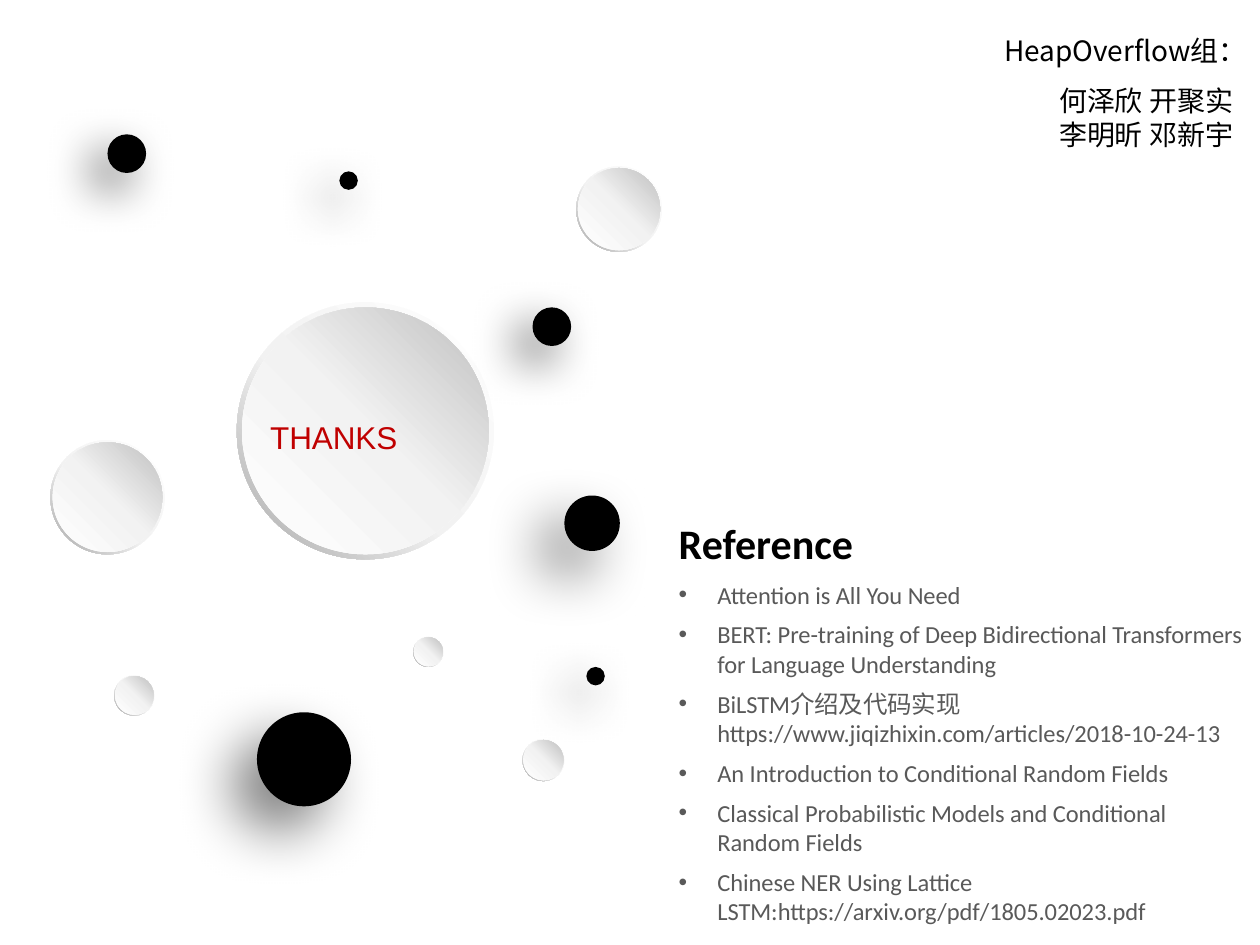
from pptx import Presentation
from pptx import util as u
from pptx.dml.color import RGBColor
from pptx.enum import shapes, text
from pptx.oxml import parse_xml
from pptx.oxml.ns import nsdecls, qn

BLACK = RGBColor(0x00, 0x00, 0x00)
WHITE = RGBColor(0xFF, 0xFF, 0xFF)
PALE = RGBColor(0xF2, 0xF2, 0xF2)
SILVER = RGBColor(0xBF, 0xBF, 0xBF)
STEEL = RGBColor(0xA6, 0xA6, 0xA6)
GREY = RGBColor(0x59, 0x59, 0x59)
RED = RGBColor(0xC0, 0x00, 0x00)
CJK = "Noto Sans CJK SC"
PAGE_WIDTH = 7.5

# left, top, diameter of each rimmed ball
BALLS = [
    (1.41, 1.8, 1.53), (3.11, 4.4, 0.25), (3.43, 0.99, 0.51),
    (2.46, 3.79, 0.18), (0.68, 4.02, 0.24), (0.3, 2.62, 0.68),
]
# left, top, diameter of each black dot
DOTS = [
    (0.64, 0.8, 0.23), (3.17, 1.83, 0.23), (1.53, 4.24, 0.56),
    (3.49, 3.97, 0.11), (3.36, 2.95, 0.33), (2.02, 1.02, 0.11),
]
REFERENCES = [
    "Attention is All You Need",
    "BERT: Pre-training of Deep Bidirectional Transformers for Language Understanding",
    "BiLSTM介绍及代码实现 https://www.jiqizhixin.com/articles/2018-10-24-13",
    "An Introduction to Conditional Random Fields",
    "Classical Probabilistic Models and Conditional Random Fields",
    "Chinese NER Using Lattice LSTM:https://arxiv.org/pdf/1805.02023.pdf",
]


def add_round(parent, kind, left, top, size):
    disc = parent.add_shape(kind, u.Inches(left), u.Inches(top),
                            u.Inches(size), u.Inches(size))
    disc.shadow.inherit = False
    disc.line.fill.background()
    return disc


def fill_gradient(disc, middle, end_color, angle):
    """Fade from white through pale grey to end_color, angle clockwise."""
    stops = "".join(
        f'<a:gs pos="{position * 1000}"><a:srgbClr val="{color}"/></a:gs>'
        for position, color in ((0, WHITE), (middle, PALE), (100, end_color)))
    gradient = parse_xml(
        f'<a:gradFill {nsdecls("a")} rotWithShape="1"><a:gsLst>{stops}</a:gsLst>'
        f'<a:lin ang="{angle * 60000}" scaled="0"/></a:gradFill>')
    disc._element.spPr.find(qn("a:prstGeom")).addnext(gradient)


def add_ball(page, left, top, size):
    group = page.shapes.add_group_shape()
    rim = add_round(group.shapes, shapes.MSO_SHAPE.DONUT, left, top, size)
    rim.adjustments[0] = 0.049
    fill_gradient(rim, 55, STEEL, 135)
    inset = size * 0.02
    face = add_round(group.shapes, shapes.MSO_SHAPE.OVAL,
                     left + inset, top + inset, size - 2 * inset)
    fill_gradient(face, 51, SILVER, 315)


def add_dot(page, left, top, size):
    dot = add_round(page.shapes, shapes.MSO_SHAPE.OVAL, left, top, size)
    dot.fill.solid()
    dot.fill.fore_color.rgb = BLACK
    # Larger dots cast a softer, longer shadow
    alpha, blur, distance = (50, 25, 15) if size > 0.3 else (60, 20, 10)
    shadow = parse_xml(
        f'<a:outerShdw {nsdecls("a")} blurRad="{u.Pt(blur)}" dist="{u.Pt(distance)}" '
        f'dir="{135 * 60000}" algn="tr" rotWithShape="0"><a:srgbClr val="{BLACK}">'
        f'<a:alpha val="{alpha * 1000}"/></a:srgbClr></a:outerShdw>')
    dot._element.spPr.find(qn("a:effectLst")).append(shadow)


def place(box, left, top, width, height):
    box.left, box.top = u.Inches(left), u.Inches(top)
    box.width, box.height = u.Inches(width), u.Inches(height)
    frame = box.text_frame
    frame.word_wrap = True
    frame.auto_size = text.MSO_AUTO_SIZE.NONE
    frame.vertical_anchor = text.MSO_ANCHOR.TOP
    return frame


def add_text_box(page, left, top, width, height):
    box = page.shapes.add_textbox(0, 0, 0, 0)
    return place(box, left, top, width, height)


def write(frame, words, *, size, color, font="Calibri", east=None, bold=False,
          align=text.PP_ALIGN.LEFT, before=0, after=0, line=None, hang=None):
    """Write a paragraph, using the frame's first one while it is empty."""
    para = frame.paragraphs[0]
    if para.runs:
        para = frame.add_paragraph()
    para.alignment = align
    para.space_before, para.space_after = u.Pt(before), u.Pt(after)
    if line:
        para.line_spacing = u.Pt(line)
    if hang:
        properties = para._p.get_or_add_pPr()
        properties.set("marL", str(u.Inches(hang)))
        properties.set("indent", str(-u.Inches(hang)))
    span = para.add_run()
    span.text = words
    span.font.name, span.font.size, span.font.bold = font, u.Pt(size), bold
    span.font.color.rgb = color
    if east:
        latin = span.font._element.find(qn("a:latin"))
        latin.addnext(parse_xml(f'<a:ea {nsdecls("a")} typeface="{east}"/>'))


def main():
    # Page in 4:3 proportion
    deck = Presentation()
    deck.slide_width = u.Inches(PAGE_WIDTH)
    deck.slide_height = u.Inches(PAGE_WIDTH * 3 / 4)
    page = deck.slides.add_slide(deck.slide_layouts[1])

    # Balls and dots
    for ball in BALLS:
        add_ball(page, *ball)
    for dot in DOTS:
        add_dot(page, *dot)

    # Closing word on the large ball
    thanks = add_text_box(page, 1.51, 2.44, 1.41, 0.33)
    write(thanks, "THANKS", size=13.5, color=RED, font="Arial")

    # Team
    team = add_text_box(page, 5.88, 0.15, 1.56, 0.81)
    team_style = dict(size=12, color=BLACK, font=CJK, east=CJK, line=14.5)
    write(team, "HeapOverflow组：", **team_style)
    for names, gap in (("何泽欣 开聚实", 6.8), ("李明昕 邓新宇", 0)):
        write(team, names, align=text.PP_ALIGN.RIGHT, before=gap, **team_style)

    # Reference list
    heading = place(page.shapes.title, 3.94, 3.03, 3.57, 0.4)
    write(heading, "Reference", size=18, color=BLACK, bold=True)
    listing = place(page.placeholders[1], 3.94, 3.4, 3.57, 2.22)
    for reference in REFERENCES:
        write(listing, reference, size=10.5, color=GREY, after=4.5, hang=0.23)

    deck.save("out.pptx")


if __name__ == "__main__":
    main()
